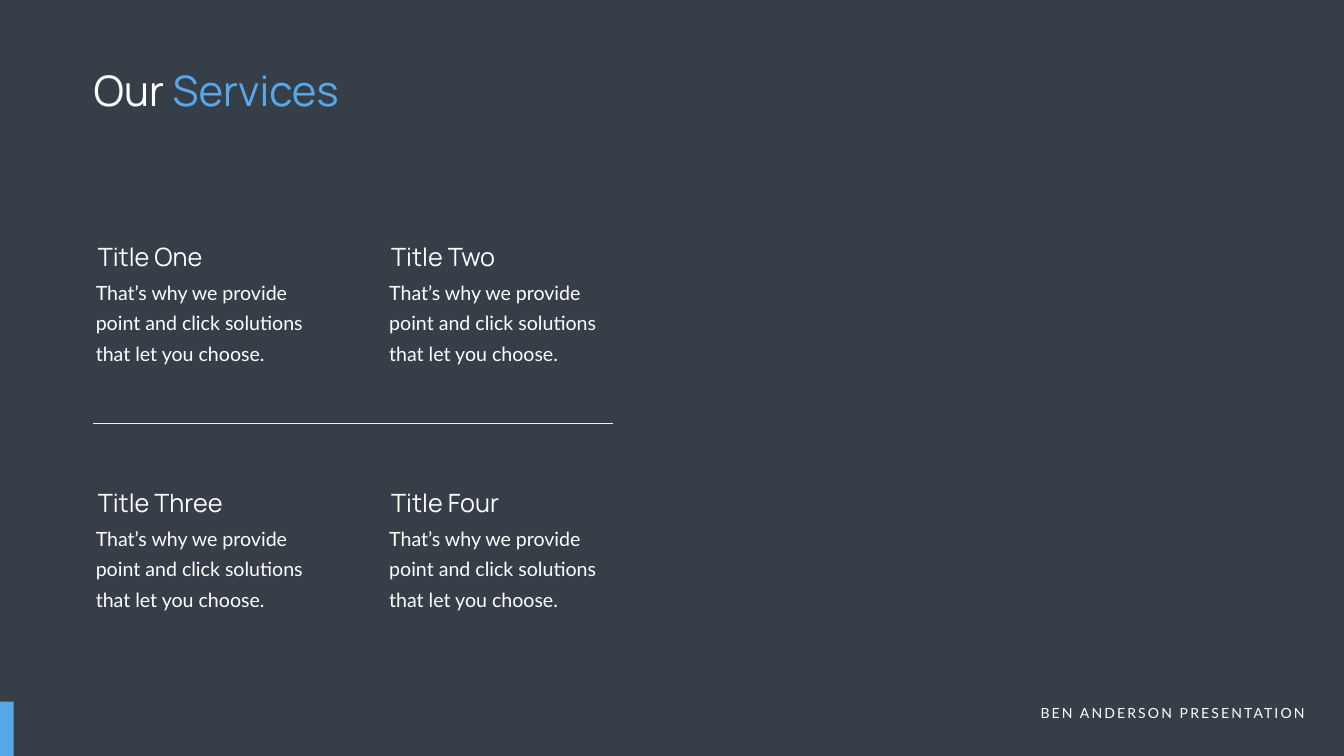
from dataclasses import dataclass

from pptx import Presentation
from pptx.dml.color import RGBColor
from pptx.enum.shapes import MSO_CONNECTOR, MSO_SHAPE
from pptx.enum.text import PP_ALIGN
from pptx.oxml.ns import qn
from pptx.util import Inches, Pt
from lxml import etree


@dataclass(frozen=True)
class Theme:
    background: RGBColor = RGBColor.from_string("363E48")
    accent: RGBColor = RGBColor.from_string("57A7E9")
    text: RGBColor = RGBColor.from_string("FFFFFF")
    rule: RGBColor = RGBColor.from_string("EFF1F8")
    heading_font: str = "Manrope"
    body_font: str = "Lato"
    title: Pt = Pt(60)
    service: Pt = Pt(36)
    body: Pt = Pt(28)
    footer: Pt = Pt(20)


theme = Theme()


def add_text(shapes, box, text, font, size, side=0.09, top=0):
    """Add a one-paragraph text box; side and top are its insets in inches."""
    tf = shapes.add_textbox(*map(Inches, box)).text_frame
    tf.word_wrap = True
    tf.margin_left = tf.margin_right = Inches(side)
    tf.margin_top = tf.margin_bottom = Inches(top)
    p = tf.paragraphs[0]
    p.add_run().text = text
    p.font.name = font
    p.font.size = size
    p.font.color.rgb = theme.text
    return p


prs = Presentation()
prs.slide_width, prs.slide_height = Inches(26.66), Inches(15)
s = prs.slides.add_slide(prs.slide_layouts[6])
s.background.fill.solid()
s.background.fill.fore_color.rgb = theme.background

# Slide title
p = add_text(s.shapes, (1.81, 1.28, 14.34, 1.11), "Our ",
             theme.heading_font, theme.title, side=0.05)
r = p.add_run()
r.text = "Services"
r.font.color.rgb = theme.accent

# Footer and corner mark
p = add_text(s.shapes, (20.08, 13.92, 5.85, 0.44), "BEN ANDERSON PRESENTATION",
             theme.body_font, theme.footer, side=0.05, top=0.05)
p.alignment = PP_ALIGN.RIGHT
p.runs[0].font._element.set("spc", "300")

mark = s.shapes.add_shape(MSO_SHAPE.RECTANGLE, 0, Inches(13.92), Inches(0.27), Inches(1.08))
mark.shadow.inherit = False
mark.fill.solid()
mark.fill.fore_color.rgb = theme.accent
mark.line.fill.background()

# Services in a two by two grid
services = ["Title One", "Title Two", "Title Three", "Title Four"]
description = "That’s why we provide point and click solutions that let you choose."
for i, service in enumerate(services):
    row, col = divmod(i, 2)
    left, top = 1.81 + col * 5.82, 4.78 + row * 4.88
    group = s.shapes.add_group_shape()
    p = add_text(group.shapes, (left, top + 0.64, 4.52, 1.85), description,
                 theme.body_font, theme.body, top=0.03)
    p.line_spacing = Pt(43)
    add_text(group.shapes, (left + 0.04, top, 2.81, 0.71), service,
             theme.heading_font, theme.service)

# Rule between the rows
rule = s.shapes.add_connector(MSO_CONNECTOR.STRAIGHT, Inches(1.85), Inches(8.39),
                              Inches(12.15), Inches(8.39))
rule.line.color.rgb = theme.rule
rule.line.width = Pt(0.5)
etree.SubElement(rule._element.spPr, qn("a:effectLst"))

prs.save("out.pptx")
